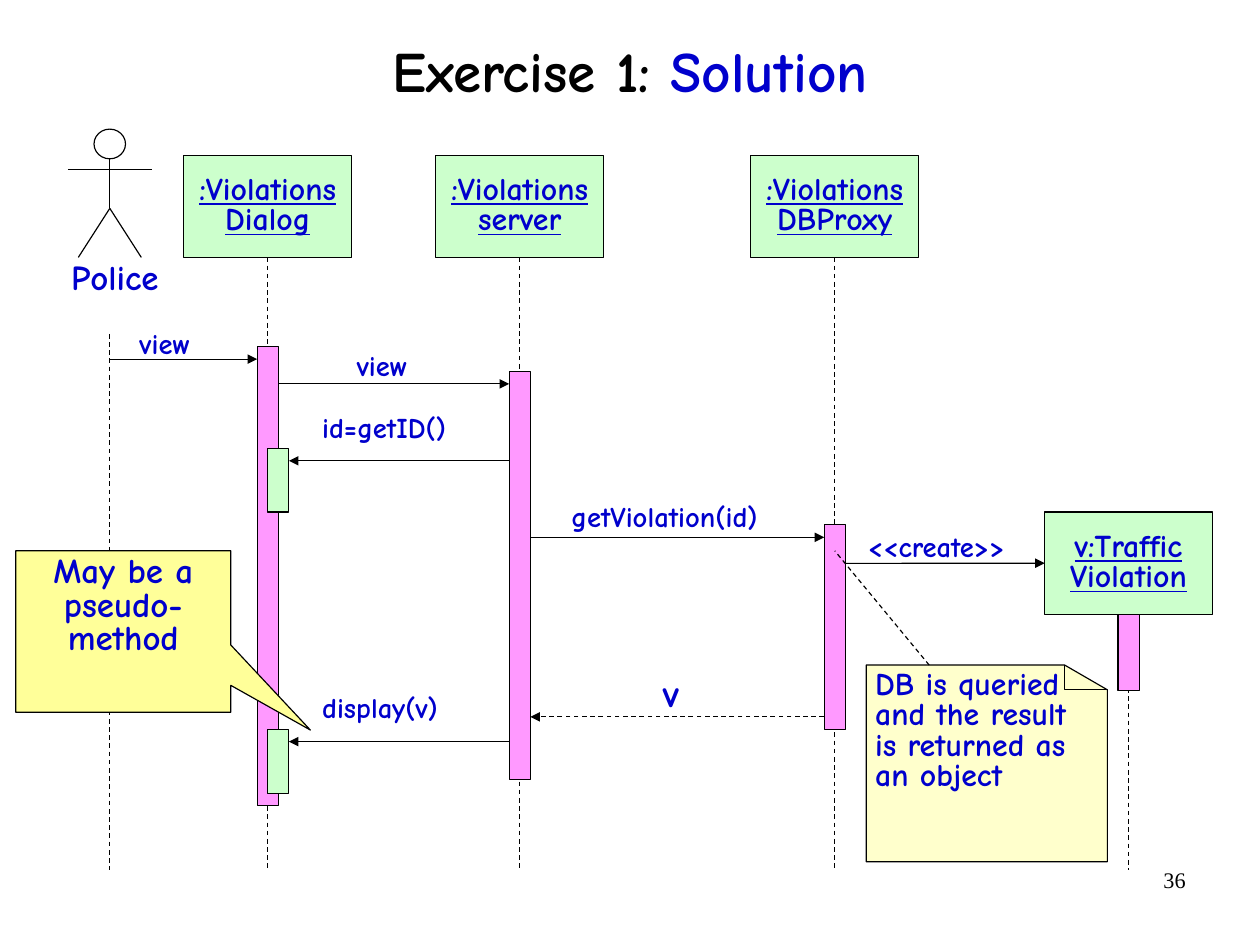
from dataclasses import dataclass

from lxml.etree import SubElement
from pptx import Presentation
from pptx.dml.color import RGBColor
from pptx.enum.dml import MSO_LINE
from pptx.enum.shapes import MSO_CONNECTOR, MSO_SHAPE
from pptx.enum.text import MSO_ANCHOR, PP_ALIGN
from pptx.oxml.ns import qn
from pptx.util import Cm, Pt


@dataclass(frozen=True)
class Theme:
    font: str = "Comic Neue"
    number_font: str = "Times New Roman"
    ink: str = "000000"
    blue: str = "0000CC"
    green: str = "CCFFCC"
    pink: str = "FF99FF"
    callout: str = "FFFF99"
    note: str = "FFFFCC"
    title_size: int = 36
    big_size: int = 24
    actor_size: int = 22
    object_size: int = 20
    message_size: int = 18
    number_size: int = 14
    line_width: float = 0.75
    spacing: float = 0.8


@dataclass(frozen=True)
class Participant:
    name: str
    x: float
    top: float = 3.45


@dataclass(frozen=True)
class Activation:
    x: float
    top: float
    height: float
    color: str


@dataclass(frozen=True)
class Label:
    text: str
    left: float
    top: float
    width: float
    size: int


@dataclass(frozen=True)
class Message:
    start: float
    end: float
    y: float
    label: Label
    dashed: bool = False


THEME = Theme()
BOX_WIDTH, BOX_HEIGHT = 3.73, 2.27
BAR = 0.47
HALF = BAR / 2
LIFE_END = 19.33
POLICE, DIALOG, SERVER, PROXY, VIOLATION = 2.44, 5.95, 11.55, 18.55, 25.08
SIZE = THEME.message_size

PARTICIPANTS = [
    Participant(":Violations\nDialog", DIALOG),
    Participant(":Violations\nserver", SERVER),
    Participant(":Violations\nDBProxy", PROXY),
    Participant("v:Traffic\nViolation", VIOLATION, 11.38),
]
ACTIVATIONS = [
    Activation(DIALOG, 7.7, 10.21, THEME.pink),
    Activation(SERVER, 8.26, 9.07, THEME.pink),
    Activation(PROXY, 11.66, 4.55, THEME.pink),
    Activation(VIOLATION, 13.65, 1.7, THEME.pink),
    Activation(DIALOG + HALF, 9.96, 1.42, THEME.green),
    Activation(DIALOG + HALF, 16.21, 1.42, THEME.green),
]
MESSAGES = [
    Message(POLICE, DIALOG - HALF, 7.98, Label("view", 2.82, 7.26, 1.85, SIZE)),
    Message(DIALOG + HALF, SERVER - HALF, 8.53, Label("view", 7.65, 7.75, 1.85, SIZE)),
    Message(SERVER - HALF, DIALOG + BAR, 10.24, Label("id=getID()", 6.88, 9.12, 3.76, SIZE)),
    Message(SERVER + HALF, PROXY - HALF, 11.94, Label("getViolation(id)", 12.42, 11.1, 5.18, SIZE)),
    Message(SERVER - HALF, DIALOG + BAR, 16.48, Label("display(v)", 6.88, 15.34, 3.4, SIZE)),
    Message(PROXY - HALF, SERVER + HALF, 15.93, Label("v", 14.45, 14.94, 0.99, THEME.big_size), True),
]
CREATE = Message(PROXY + HALF, VIOLATION - BOX_WIDTH / 2, 12.52,
                 Label("<<create>>", 19, 11.76, 4.11, SIZE))


def write(frame, text: str, size: int, align=PP_ALIGN.LEFT, wrap=True, underline=False) -> None:
    frame.word_wrap = wrap
    para = frame.paragraphs[0]
    para.text = text
    para.alignment = align
    para.line_spacing = THEME.spacing
    for span in para.runs:
        span.font.name, span.font.size, span.font.bold = THEME.font, Pt(size), True
        span.font.color.rgb = RGBColor.from_string(THEME.blue)
        span.font.underline = underline


def pad(frame, side: float, end: float) -> None:
    frame.margin_left = frame.margin_right = Cm(side)
    frame.margin_top = frame.margin_bottom = Cm(end)


def draw_line(page, x1: float, y1: float, x2: float, y2: float, dashed=False, arrow=False):
    line = page.shapes.add_connector(MSO_CONNECTOR.STRAIGHT, Cm(x1), Cm(y1), Cm(x2), Cm(y2))
    line.line.color.rgb = RGBColor.from_string(THEME.ink)
    line.line.width = Pt(THEME.line_width)
    if dashed:
        line.line.dash_style = MSO_LINE.DASH
    properties = line.element.spPr
    if arrow:
        SubElement(properties.find(qn("a:ln")), qn("a:tailEnd"), type="triangle")
    SubElement(properties, qn("a:effectLst"))
    return line


def style(shape, color: str | None):
    shape.shadow.inherit = False
    if color:
        shape.fill.solid()
        shape.fill.fore_color.rgb = RGBColor.from_string(color)
    else:
        shape.fill.background()
    shape.line.color.rgb = RGBColor.from_string(THEME.ink)
    shape.line.width = Pt(THEME.line_width)
    return shape


def draw_shape(page, kind, left: float, top: float, width: float, height: float, color: str | None):
    return style(page.shapes.add_shape(kind, Cm(left), Cm(top), Cm(width), Cm(height)), color)


def draw_outline(page, points: list[tuple[float, float]], color: str | None, close: bool) -> None:
    corners = [(Cm(x), Cm(y)) for x, y in points]
    builder = page.shapes.build_freeform(*corners[0])
    builder.add_line_segments(corners[1:], close=close)
    style(builder.convert_to_shape(), color)


def draw_label(page, label: Label) -> None:
    box = page.shapes.add_textbox(Cm(label.left), Cm(label.top), Cm(label.width), Cm(0.9))
    pad(box.text_frame, 0.28, 0.14)
    write(box.text_frame, label.text, label.size, wrap=False)


def draw_participant(page, item: Participant):
    box = draw_shape(page, MSO_SHAPE.RECTANGLE, item.x - BOX_WIDTH / 2, item.top,
                     BOX_WIDTH, BOX_HEIGHT, THEME.green)
    box.text_frame.vertical_anchor = MSO_ANCHOR.MIDDLE
    write(box.text_frame, item.name, THEME.object_size, PP_ALIGN.CENTER, False, True)
    lifeline = draw_line(page, item.x, item.top + BOX_HEIGHT, item.x, LIFE_END, dashed=True)
    lifeline.begin_connect(box, 2)
    return box


def draw_message(page, item: Message):
    draw_label(page, item.label)
    return draw_line(page, item.start, item.y, item.end, item.y, item.dashed, arrow=True)


def draw_actor(page) -> None:
    hip, foot, neck, arms = 4.63, 5.72, 3.53, 3.76
    for side in (-0.7, 0.7):
        draw_line(page, POLICE, hip, POLICE + side, foot)
    draw_line(page, POLICE, neck, POLICE, hip)
    draw_line(page, POLICE - 0.93, arms, POLICE + 0.93, arms)
    draw_shape(page, MSO_SHAPE.OVAL, POLICE - 0.35, 2.87, 0.7, 0.66, None)
    draw_label(page, Label("Police", 1.3, 5.72, 2.67, THEME.actor_size))
    draw_line(page, POLICE, 7.42, POLICE, LIFE_END, dashed=True)


def draw_note(page) -> None:
    left, top, right, bottom, fold_x, fold_y = 19.25, 14.78, 24.61, 19.15, 23.66, 15.33
    draw_outline(page, [(left, top), (left, bottom), (right, bottom), (right, fold_y),
                        (fold_x, top)], THEME.note, True)
    draw_outline(page, [(fold_x, top), (fold_x, fold_y), (right, fold_y)], None, False)
    # The text stays left of the fold
    box = page.shapes.add_textbox(Cm(left), Cm(top), Cm(4.7), Cm(bottom - top))
    pad(box.text_frame, 0.2, 0.13)
    write(box.text_frame, "DB is queried and the result is returned as an object", THEME.object_size)
    draw_line(page, 20.65, top, PROXY, 12.24, dashed=True)


def draw_title(page) -> None:
    title = page.shapes.title
    title.left, title.top, title.width, title.height = Cm(1.52), Cm(-0.08), Cm(24.97), Cm(3.48)
    frame = title.text_frame
    frame.vertical_anchor = MSO_ANCHOR.MIDDLE
    pad(frame, 0, 0)
    write(frame, "Exercise 1: ", THEME.title_size, PP_ALIGN.CENTER)
    para = frame.paragraphs[0]
    para.line_spacing = 0.88
    para.runs[0].font.color.rgb = RGBColor.from_string(THEME.ink)
    span = para.add_run()
    span.text = "Solution"
    span.font.name, span.font.size, span.font.bold = THEME.font, Pt(THEME.title_size), True
    span.font.color.rgb = RGBColor.from_string(THEME.blue)


def main() -> None:
    deck = Presentation()
    deck.slide_width, deck.slide_height = Cm(28), Cm(21)
    page = deck.slides.add_slide(deck.slide_layouts[5])
    draw_title(page)

    # Actor, participants and their activations
    draw_actor(page)
    boxes = [draw_participant(page, item) for item in PARTICIPANTS]
    for bar in ACTIVATIONS:
        draw_shape(page, MSO_SHAPE.RECTANGLE, bar.x - HALF, bar.top, BAR, bar.height, bar.color)

    # Messages
    for message in MESSAGES:
        draw_message(page, message)
    draw_message(page, CREATE).end_connect(boxes[-1], 1)

    # Callout and note
    callout = draw_shape(page, MSO_SHAPE.RECTANGULAR_CALLOUT, 0.35, 12.24, 4.78, 3.59, THEME.callout)
    callout.adjustments[0], callout.adjustments[1] = 0.87, 0.61
    callout.text_frame.vertical_anchor = MSO_ANCHOR.TOP
    pad(callout.text_frame, 0.28, 0.14)
    write(callout.text_frame, "May be a pseudo-method", THEME.actor_size, PP_ALIGN.CENTER)
    draw_note(page)

    # Page number
    number = page.shapes.add_textbox(Cm(20.07), Cm(19.13), Cm(6.53), Cm(1.45))
    write(number.text_frame, "36", THEME.number_size, PP_ALIGN.RIGHT)
    para = number.text_frame.paragraphs[0]
    para.line_spacing = 1.0
    font = para.runs[0].font
    font.name, font.bold = THEME.number_font, False
    font.color.rgb = RGBColor.from_string(THEME.ink)

    deck.save("out.pptx")


if __name__ == "__main__":
    main()
